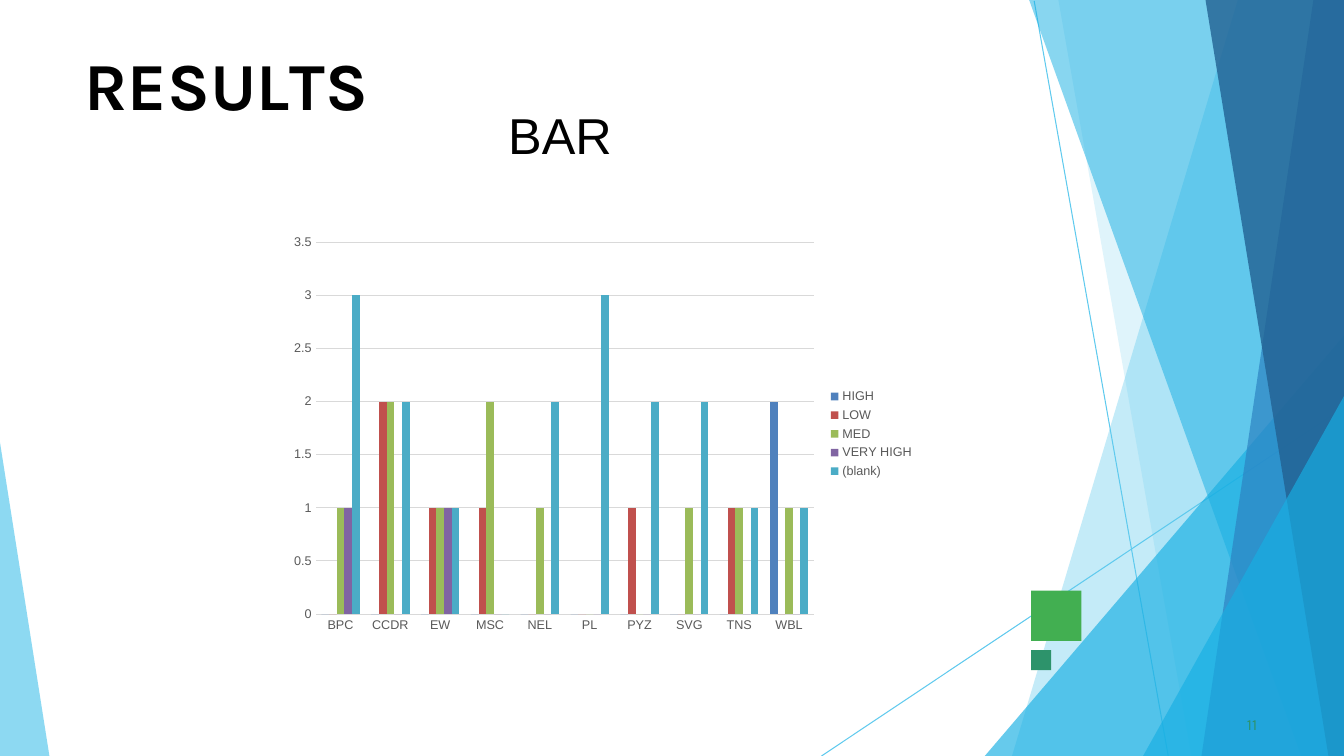
import dataclasses
import typing

import pptx
import pptx.chart.data
import pptx.dml.color
import pptx.enum.chart
import pptx.enum.shapes
import pptx.enum.text
import pptx.oxml
import pptx.oxml.ns
import pptx.util

Pt = pptx.util.Pt
Point = tuple[float, float]
WIDE, HIGH = 960, 540


@dataclasses.dataclass(frozen=True)
class Theme:
    head: str = "Karla"
    body: str = "Arial"
    ink: str = "000000"
    label: str = "595959"
    grid: str = "D9D9D9"
    sky: str = "5FCAEE"
    azure: str = "17AFE3"
    blue: str = "2D83C3"
    navy: str = "226192"
    green: str = "42AF51"
    teal: str = "2D936B"
    big: float = 48
    mid: float = 36
    page: float = 11
    base: float = 10
    small: float = 9
    hair: float = 0.75


LOOK = Theme()


@dataclasses.dataclass(frozen=True)
class Facet:
    points: tuple[Point, ...]
    color: str
    alpha: int


@dataclasses.dataclass(frozen=True)
class Square:
    top: float
    size: float
    color: str


@dataclasses.dataclass(frozen=True)
class Series:
    name: str
    color: str
    counts: tuple[int, ...]


def band(top: float, foot: float, color: str, alpha: int) -> Facet:
    """Full-height facet ending at the right edge."""
    return Facet(((WIDE, 0), (top, 0), (foot, HIGH), (WIDE, HIGH)), color, alpha)


def wedge(edge: float, rise: float, foot: float, color: str, alpha: int) -> Facet:
    """Triangle standing in a lower corner."""
    return Facet(((edge, rise), (foot, HIGH), (edge, HIGH)), color, alpha)


RAYS = [((738.72, 0.72), (834.48, HIGH)), ((WIDE, 290.88), (586.8, HIGH))]
FACETS = [
    band(884.16, 722.88, LOOK.sky, 37),
    band(756, 851.04, LOOK.sky, 20),
    wedge(WIDE, 239.76, 703.44, LOOK.azure, 66),
    band(735.12, 929.52, LOOK.azure, 51),
    band(938.16, 858.24, LOOK.blue, 71),
    band(861.12, 948.96, LOOK.navy, 80),
    wedge(WIDE, 282.96, 816.48, LOOK.azure, 66),
    wedge(0, 316.08, 35.28, LOOK.sky, 71),
]
SQUARES = [Square(421.92, 36, LOOK.green), Square(464.4, 14.4, LOOK.teal)]
TITLE = [("R", 0), ("E", -0.4), ("S", 0.1), ("U", -0.3), ("L", -4.1), ("TS", 0)]
PLACES = ["BPC", "CCDR", "EW", "MSC", "NEL", "PL", "PYZ", "SVG", "TNS", "WBL"]
SERIES = [
    Series("HIGH", "4F81BD", (0, 0, 0, 0, 0, 0, 0, 0, 0, 2)),
    Series("LOW", "C0504D", (0, 2, 1, 1, 0, 0, 1, 0, 1, 0)),
    Series("MED", "9BBB59", (1, 2, 1, 2, 1, 0, 0, 1, 1, 1)),
    Series("VERY HIGH", "8064A2", (1, 0, 1, 0, 0, 0, 0, 0, 0, 0)),
    Series("(blank)", "4BACC6", (3, 2, 1, 0, 2, 3, 2, 2, 1, 1)),
]


def put(item: typing.Any, **values: typing.Any) -> None:
    for name, value in values.items():
        setattr(item, name, value)


def rgb(color: str) -> pptx.dml.color.RGBColor:
    return pptx.dml.color.RGBColor.from_string(color)


def style(font: typing.Any, face: str, size: float, color: str, bold: bool = False) -> None:
    put(font, name=face, size=Pt(size), bold=bold)
    font.color.rgb = rgb(color)


def paint(shape: typing.Any, color: str) -> None:
    shape.fill.solid()
    shape.fill.fore_color.rgb = rgb(color)
    shape.line.fill.background()
    shape.shadow.inherit = False


def place(shape: typing.Any, left: float, top: float, width: float, height: float) -> None:
    put(shape, left=Pt(left), top=Pt(top), width=Pt(width), height=Pt(height))


def frame(shape: typing.Any, left: float, top: float, before: float) -> typing.Any:
    """Set insets and return the left-aligned first paragraph."""
    text = shape.text_frame
    put(text, margin_left=Pt(left), margin_top=Pt(top), margin_right=0, margin_bottom=0,
        word_wrap=True, auto_size=pptx.enum.text.MSO_AUTO_SIZE.NONE,
        vertical_anchor=pptx.enum.text.MSO_ANCHOR.TOP)
    para = text.paragraphs[0]
    put(para, alignment=pptx.enum.text.PP_ALIGN.LEFT, space_before=Pt(before))
    return para


def write(para: typing.Any, text: str, space: float, *font: typing.Any) -> None:
    run = para.add_run()
    run.text = text
    style(run.font, *font)
    run._r.get_or_add_rPr().set("spc", str(round(space * 100)))


def draw_ray(slide: typing.Any, start: Point, end: Point) -> None:
    ends = [Pt(value) for value in (*start, *end)]
    ray = slide.shapes.add_connector(pptx.enum.shapes.MSO_CONNECTOR.STRAIGHT, *ends)
    ray.line.color.rgb = rgb(LOOK.sky)
    ray.line.width = Pt(LOOK.hair)
    pptx.oxml.ns.qn("a:effectLst")
    ray._element.spPr.append(ray._element.makeelement(pptx.oxml.ns.qn("a:effectLst")))


def draw_facet(slide: typing.Any, facet: Facet) -> None:
    first, *rest = [(Pt(x), Pt(y)) for x, y in facet.points]
    path = slide.shapes.build_freeform(*first)
    path.add_line_segments(rest, close=True)
    shape = path.convert_to_shape()
    paint(shape, facet.color)
    tint = shape._element.spPr.find(".//" + pptx.oxml.ns.qn("a:srgbClr"))
    alpha = tint.makeelement(pptx.oxml.ns.qn("a:alpha"), {"val": str(facet.alpha * 1000)})
    tint.append(alpha)


def draw_square(slide: typing.Any, square: Square) -> None:
    kind = pptx.enum.shapes.MSO_SHAPE.RECTANGLE
    shape = slide.shapes.add_shape(kind, Pt(736.56), Pt(square.top), Pt(square.size), Pt(square.size))
    paint(shape, square.color)


def draw_chart(slide: typing.Any) -> None:
    enum = pptx.enum.chart
    data = pptx.chart.data.CategoryChartData()
    data.categories = PLACES
    for item in SERIES:
        data.add_series(item.name, item.counts)
    chart = slide.shapes.add_chart(enum.XL_CHART_TYPE.COLUMN_CLUSTERED,
                                   Pt(200.88), Pt(162), Pt(459.36), Pt(295.92), data).chart
    style(chart.font, LOOK.body, LOOK.base, LOOK.ink)
    put(chart, has_title=False, has_legend=True)
    put(chart.legend, position=enum.XL_LEGEND_POSITION.RIGHT, include_in_layout=False)
    style(chart.legend.font, LOOK.body, LOOK.small, LOOK.label)
    plot = chart.plots[0]
    put(plot, gap_width=150, overlap=0, vary_by_categories=False)
    for bars, item in zip(plot.series, SERIES):
        bars.format.fill.solid()
        bars.format.fill.fore_color.rgb = rgb(item.color)
    for axis in (chart.category_axis, chart.value_axis):
        put(axis, major_tick_mark=enum.XL_TICK_MARK.NONE, minor_tick_mark=enum.XL_TICK_MARK.NONE)
        style(axis.tick_labels.font, LOOK.body, LOOK.small, LOOK.label)
        axis.format.line.fill.background()
    put(chart.value_axis, minimum_scale=0, maximum_scale=3.5, major_unit=0.5, has_major_gridlines=True)
    grid = chart.value_axis.major_gridlines.format.line
    grid.color.rgb = rgb(LOOK.grid)
    grid.width = Pt(LOOK.hair)


def main() -> None:
    deck = pptx.Presentation()
    put(deck, slide_width=Pt(WIDE), slide_height=Pt(HIGH))
    slide = deck.slides.add_slide(deck.slide_layouts[5])

    # Backdrop
    for start, end in RAYS:
        draw_ray(slide, start, end)
    for facet in FACETS:
        draw_facet(slide, facet)
    for square in SQUARES:
        draw_square(slide, square)

    # Title
    title = slide.shapes.title
    place(title, 59.76, 30.24, 223.92, 58.32)
    para = frame(title, 0.72, 0.72, 1.1)
    for text, space in TITLE:
        write(para, text, space, LOOK.head, LOOK.big, LOOK.ink, True)

    # Page number and chart heading
    page = slide.shapes.add_textbox(Pt(887.76), Pt(509.76), Pt(18), Pt(13.68))
    write(frame(page, 2.88, 0.72, 0.6), "11", 0.1, LOOK.head, LOOK.page, LOOK.teal)
    label = slide.shapes.add_textbox(Pt(263.52), Pt(70.56), Pt(231.12), Pt(46.8))
    write(frame(label, 99.5, 3.6, 0), "BAR", 0, LOOK.body, LOOK.mid, LOOK.ink)

    # Chart
    draw_chart(slide)
    deck.save("out.pptx")


if __name__ == "__main__":
    main()
